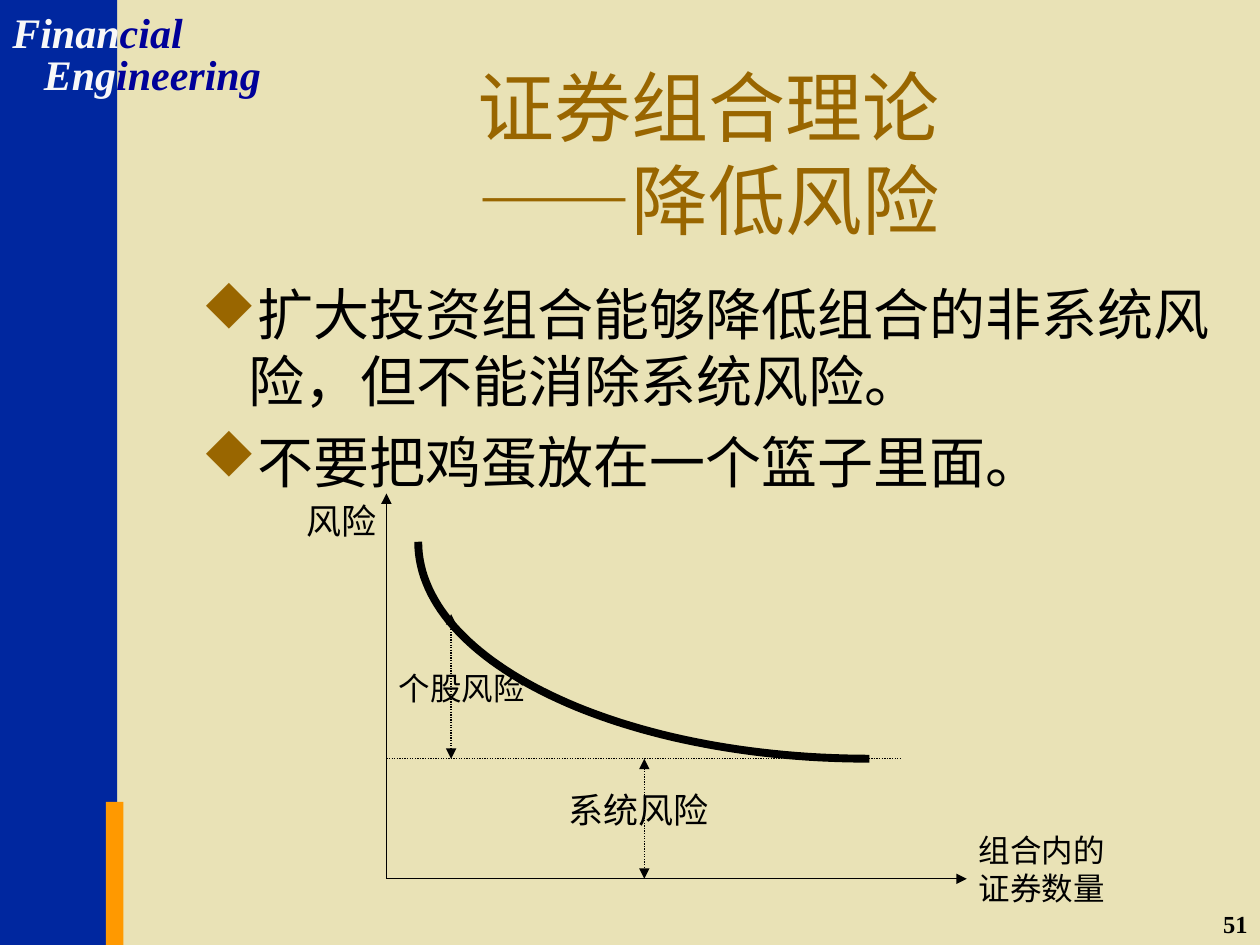
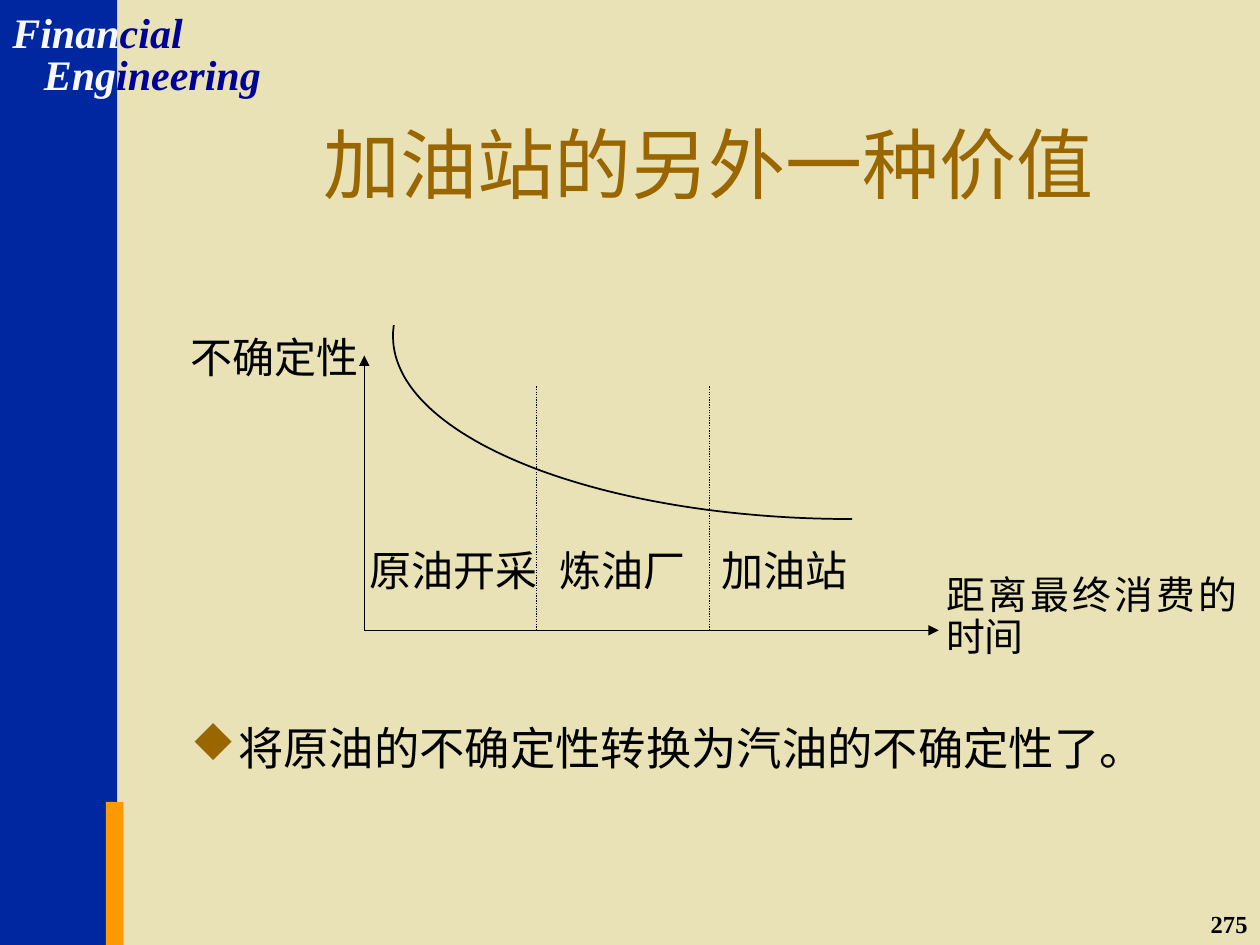
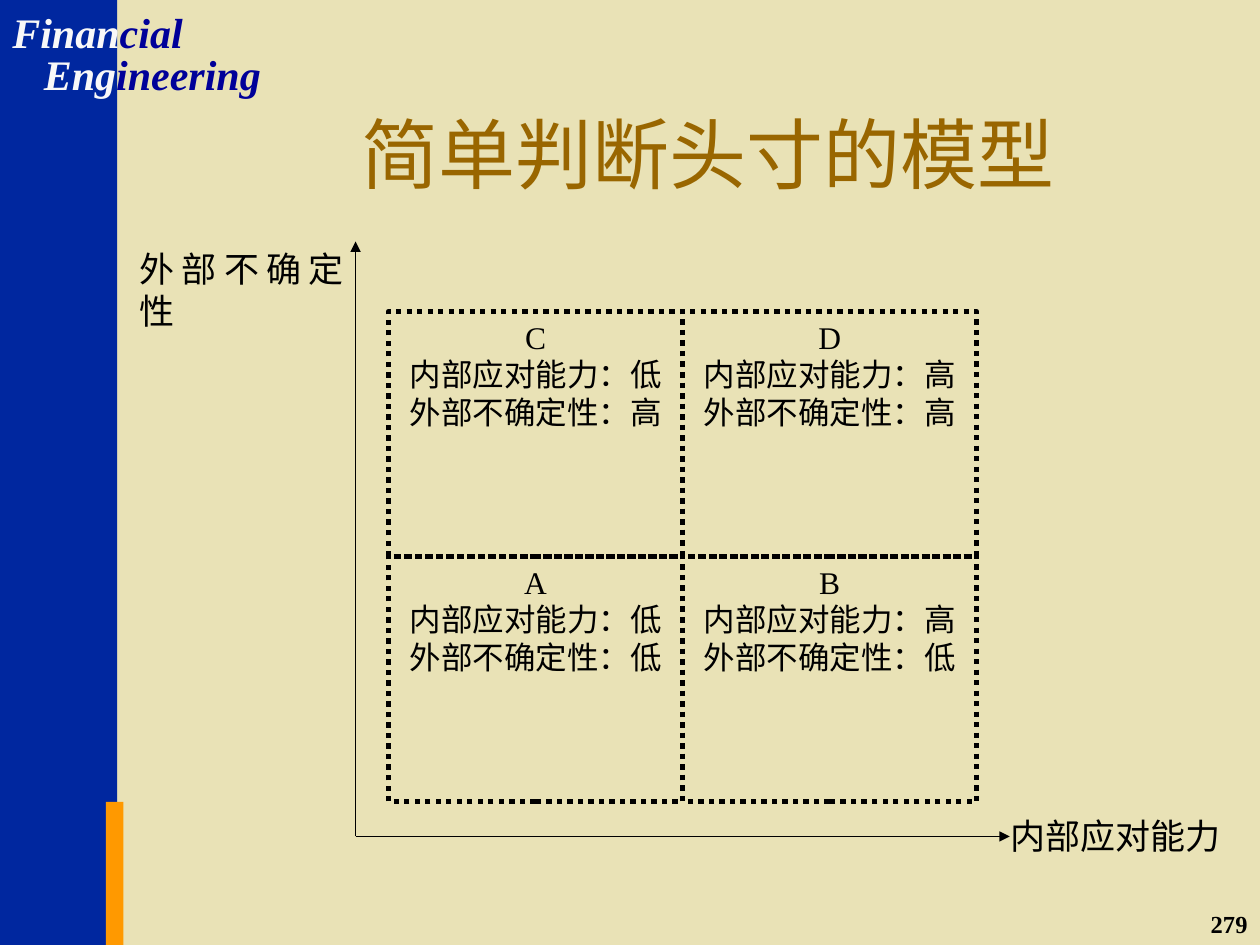
import pptx
import pptx.dml.color
import pptx.enum.dml
import pptx.enum.shapes
import pptx.enum.text
import pptx.oxml.ns
import pptx.util
from lxml import etree

Pt = pptx.util.Pt
ALIGN = pptx.enum.text.PP_ALIGN
ANCHOR = pptx.enum.text.MSO_ANCHOR
DOTTED = pptx.enum.dml.MSO_LINE.ROUND_DOT

FONT = "Times New Roman"
CREAM, NAVY, ORANGE = "E9E2B6", "00279F", "FF9900"
BROWN, BLACK, WHITE, BLUE = "996600", "000000", "F8F8F8", "000099"


def color(hex_value):
    return pptx.dml.color.RGBColor.from_string(hex_value)


def add_element(parent, tag, **attributes):
    return etree.SubElement(parent, pptx.oxml.ns.qn(tag), **attributes)


def set_bullet(para):
    properties = para._p.get_or_add_pPr()
    properties.set("marL", str(Pt(27)))
    properties.set("indent", str(-Pt(27)))
    bullet_color = add_element(properties, "a:buClr")
    add_element(bullet_color, "a:srgbClr", val=BROWN)
    add_element(properties, "a:buFont", typeface="Wingdings",
                pitchFamily="2", charset="2")
    add_element(properties, "a:buChar", char="u")


def write(frame, paragraphs, size=18, colors=(BLACK,), bold=False, italic=False,
          align=ALIGN.LEFT, anchor=ANCHOR.TOP, bullet=False, gap=0,
          line_spacing=None, wrap=True):
    frame.word_wrap = wrap
    frame.vertical_anchor = anchor
    for index, spans in enumerate(paragraphs):
        para = frame.add_paragraph() if index else frame.paragraphs[0]
        if bullet:
            set_bullet(para)
        para.alignment = align
        if index and gap:
            para.space_before = Pt(gap)
        if line_spacing:
            para.line_spacing = line_spacing
        if isinstance(spans, str):
            spans = (spans,)
        for text, span_color in zip(spans, colors):
            for row, line in enumerate(text.split("\v")):
                if row:
                    para.add_line_break()
                span = para.add_run()
                span.text = line
                span.font.name = FONT
                span.font.size = Pt(size)
                span.font.bold = bold
                span.font.italic = italic
                span.font.color.rgb = color(span_color)


def add_text(page, left, top, width, height, *paragraphs, **text_format):
    box = page.shapes.add_textbox(Pt(left), Pt(top), Pt(width), Pt(height))
    write(box.text_frame, paragraphs, **text_format)


def add_label(page, left, top, width, height, *paragraphs, **text_format):
    text_format.setdefault("align", ALIGN.JUSTIFY)
    add_text(page, left, top, width, height, *paragraphs, **text_format)


def style_line(line, width, dash=None):
    line.color.rgb = color(BLACK)
    line.width = Pt(width)
    if dash:
        line.dash_style = dash


def add_box(page, left, top, width, height):
    box = page.shapes.add_shape(pptx.enum.shapes.MSO_SHAPE.RECTANGLE,
                                Pt(left), Pt(top), Pt(width), Pt(height))
    box.shadow.inherit = False
    return box


def add_band(page, left, top, width, height, fill):
    band = add_box(page, left, top, width, height)
    band.fill.solid()
    band.fill.fore_color.rgb = color(fill)
    band.line.fill.background()


def add_quadrant(page, left, top, width, height, *paragraphs):
    quadrant = add_box(page, left, top, width, height)
    quadrant.fill.background()
    style_line(quadrant.line, 3, DOTTED)
    write(quadrant.text_frame, paragraphs, align=ALIGN.CENTER)


def add_line(page, start, end, dash=None, ends=()):
    line = page.shapes.add_connector(pptx.enum.shapes.MSO_CONNECTOR.STRAIGHT,
                                     *map(Pt, (*start, *end)))
    style_line(line.line, 0.75, dash)
    outline = line.line._get_or_add_ln()
    for tag in ends:
        add_element(outline, tag, type="triangle")
    add_element(line._element.spPr, "a:effectLst")


def add_axes(page, origin, right, top):
    for tip in ((right, origin[1]), (origin[0], top)):
        add_line(page, origin, tip, ends=("a:tailEnd",))


def add_range_arrow(page, x, top, bottom):
    add_line(page, (x, top), (x, bottom), dash=DOTTED,
             ends=("a:headEnd", "a:tailEnd"))


def bezier_points(controls, steps=60):
    for step in range(steps + 1):
        t = step / steps
        weights = ((1 - t) ** 3, 3 * t * (1 - t) ** 2, 3 * t * t * (1 - t), t ** 3)
        yield tuple(sum(w * p[axis] for w, p in zip(weights, controls))
                    for axis in (0, 1))


def add_curve(page, controls, width, extra=()):
    points = [(Pt(x), Pt(y)) for x, y in (*bezier_points(controls), *extra)]
    builder = page.shapes.build_freeform(*points[0])
    builder.add_line_segments(points[1:], close=False)
    curve = builder.convert_to_shape()
    curve.shadow.inherit = False
    curve.fill.background()
    style_line(curve.line, width)


def add_page(deck, title, number, title_top=42):
    page = deck.slides.add_slide(deck.slide_layouts[6])
    add_band(page, 0, 0, 67, 540, NAVY)
    add_band(page, 60.5, 458.2, 10, 81.8, ORANGE)
    for left, top, width, spans in ((0, 0, 114, ("Finan", "cial")),
                                    (18, 24, 144, ("Eng", "ineering"))):
        add_text(page, left, top, width, 36, spans, size=24,
                 colors=(WHITE, BLUE), bold=True, italic=True)
    add_text(page, 570, 516, 150, 36, number, size=14, bold=True, align=ALIGN.RIGHT)
    add_text(page, 108, title_top, 594, 90, title, size=44, colors=(BROWN,),
             align=ALIGN.CENTER, anchor=ANCHOR.MIDDLE)
    return page


def add_diversification_page(deck):
    page = add_page(deck, "证券组合理论\v——降低风险", "51")
    add_text(page, 108, 156, 600, 162,
             "扩大投资组合能够降低组合的非系统风险，但不能消除系统风险。",
             "不要把鸡蛋放在一个篮子里面。", size=32, bullet=True, gap=8)
    axis_x, axis_y, floor = 220.8, 502.2, 433.6
    add_axes(page, (axis_x, axis_y), 552.5, 282)
    add_line(page, (axis_x, floor), (515.5, floor), dash=DOTTED)
    add_curve(page, ((496.8, floor), (354.2, floor), (239, 378), (239, 309.6)), 4.5)
    add_label(page, 552.2, 471.2, 129, 69, "组合内的", "证券数量")
    add_label(page, 168, 282, 129, 69, "风险", size=20)
    add_range_arrow(page, 368.2, floor, axis_y)
    add_label(page, 317.5, 447.2, 147.5, 41, "系统风险", size=20)
    add_range_arrow(page, 257.8, 351, floor)
    add_label(page, axis_x, 378.7, 129, 41, "个股风险")


def add_fuel_page(deck):
    page = add_page(deck, "加油站的另外一种价值", "275", title_top=48)
    add_text(page, 102, 408, 600, 72, "将原油的不确定性转换为汽油的不确定性了。",
             size=25.9, bullet=True)
    axis_x, axis_y = 208.2, 360.2
    add_axes(page, (axis_x, axis_y), 536.4, 203.2)
    add_curve(page, ((486.9, 296.6), (342, 296.6), (224.6, 249.8), (224.6, 192.2)),
              1, extra=((224.6, 190), (225, 185.8)))
    dividers = (306.7, 405.3)
    for x in dividers:
        add_line(page, (x, 220.8), (x, axis_y), dash=DOTTED)
    stages = ((203.8, 121.7, "原油开采", ALIGN.JUSTIFY),
              (dividers[0], 98.6, "炼油厂", ALIGN.CENTER),
              (dividers[1], 98.6, "加油站", ALIGN.JUSTIFY))
    for left, width, stage, align in stages:
        add_label(page, left, 307.7, width, 52.5, stage, size=24, align=align)
    add_label(page, 533.5, 325.7, 180.7, 64, "距离最终消费的时间",
              size=22.2, line_spacing=0.9)
    add_label(page, 102, 186, 111, 52.5, "不确定性", size=24)


def add_position_page(deck):
    page = add_page(deck, "简单判断头寸的模型", "279")
    add_axes(page, (203.2, 478), 577, 138)
    left, top, width, height = 222, 178, 168.1, 140
    quadrants = (("C", "低", "高"), ("D", "高", "高"),
                 ("A", "低", "低"), ("B", "高", "低"))
    for index, (name, ability, uncertainty) in enumerate(quadrants):
        row, column = divmod(index, 2)
        add_quadrant(page, left + column * width, top + row * height, width, height,
                     name, f"内部应对能力：{ability}", f"外部不确定性：{uncertainty}")
    add_label(page, 570.2, 462, 149.8, 60, "内部应对能力", size=20)
    add_label(page, 72.7, 138, 131, 60, "外部不确定性", size=20)


def main():
    deck = pptx.Presentation()
    deck.slide_width, deck.slide_height = Pt(720), Pt(540)
    background = deck.slide_master.background.fill
    background.solid()
    background.fore_color.rgb = color(CREAM)
    add_diversification_page(deck)
    add_fuel_page(deck)
    add_position_page(deck)
    deck.save("out.pptx")


if __name__ == "__main__":
    main()
